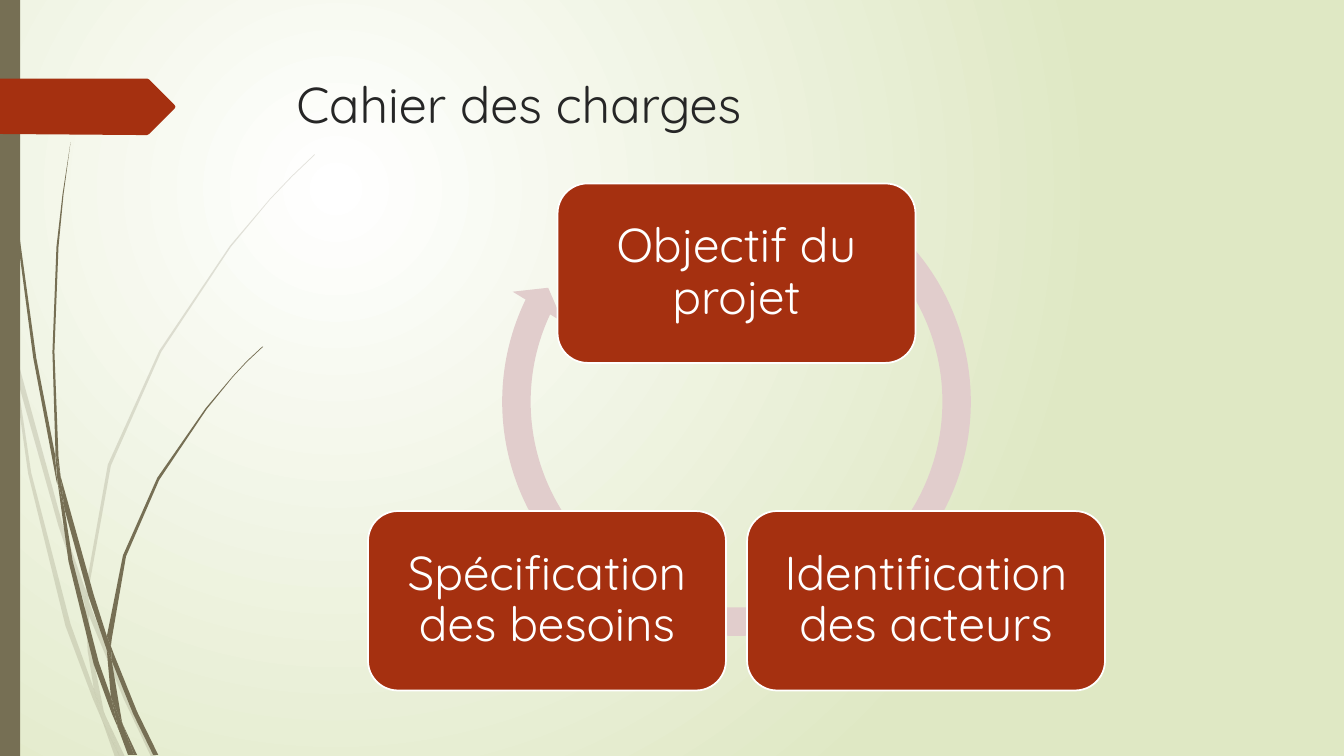
from lxml import etree
from pptx import Presentation
from pptx import util as u
from pptx.dml.color import RGBColor
from pptx.enum import shapes, text
from pptx.oxml import ns

CELL = u.Inches(0.01)
COLS, ROWS = 1333, 750
FONT = "Quicksand"
WHITE = RGBColor(0xFF, 0xFF, 0xFF)
LEAF = RGBColor(0xDF, 0xE8, 0xC4)
OLIVE = RGBColor(0x76, 0x6F, 0x54)
RUST = RGBColor(0xA5, 0x30, 0x10)
ROSE = RGBColor(0xE1, 0xCD, 0xCC)
INK = RGBColor(0x26, 0x26, 0x26)

PALE = [
    "11,350 9,322 0,282 0,299 10,344",
    "58,522 84,599 85,586 62,520 14,345 17,376",
    "92,607 88,596 88,610 123,694 150,751 155,751 127,692",
    "119,751 124,751 105,711",
    "93,683 70,619 31,469 17,376 11,350 28,470 65,621 92,693 101,714 99,707",
    "84,599 87,646 93,683 96,692 105,711 103,706 91,646 88,610 88,608",
    "88,584 110,462 160,349 229,245 268,198 290,175 312,154 312,153 289,175 "
    "268,197 228,244 158,348 107,461 85,584 85,586 88,596",
    "101,714 114,751 119,751",
    "88,608 88,610 88,596 85,586 84,599",
    "96,692 93,683 99,707 101,714 119,751 105,711",
]
DARK = [
    "7,110 17,233 33,355 56,477 57,481 55,457 55,453 36,355 19,232 8,109 5,48 "
    "4,0 3,0 4,48",
    "88,592 106,645 106,633 106,631 93,590 60,472 64,505",
    "113,649 110,641 111,656 132,708 152,749 157,749 136,706",
    "110,691 98,657 72,556 64,505 57,477 68,557 93,659 111,708 117,722 116,717",
    "60,472 58,453 54,349 58,245 63,193 70,141 62,193 56,245 52,349 55,449",
    "133,749 136,749 122,719",
    "57,477 64,505 60,472 55,449 55,453",
    "111,633 125,552 158,476 205,406 231,374 245,359 261,344 260,344 245,358 "
    "231,373 204,405 156,474 122,551 106,631 110,641",
    "117,722 127,749 131,749",
    "106,645 110,691 116,706 122,719 121,716 111,656 109,651",
    "106,645 109,651 111,656 110,641 106,631 106,633",
    "116,706 110,691 116,717 117,722 130,749 133,749 122,719",
]
FLAG = ("173,30 148,55 146,56 136,56 0,55 0,0 136,0 146,0 148,1 "
        "173,26 174,28")


def paint(item, tint, alpha=None):
    item.shadow.inherit = False
    item.fill.solid()
    item.fill.fore_color.rgb = tint
    item.line.fill.background()
    if alpha:
        tone = item.fill._xPr.find(".//" + ns.qn("a:srgbClr"))
        etree.SubElement(tone, ns.qn("a:alpha"), val=str(alpha * 1000))


def put(slide, kind, box, tint):
    item = slide.shapes.add_shape(kind, *(n * CELL for n in box))
    paint(item, tint)
    return item


def trace(slide, box, dots, tint, alpha=None):
    left, top = box[:2]
    pts = [tuple(map(int, dot.split(","))) for dot in dots.split()]
    pts = [(left + x, top + y) for x, y in pts]
    pen = slide.shapes.build_freeform(*pts[0], scale=CELL)
    pen.add_line_segments(pts[1:], close=True)
    paint(pen.convert_to_shape(), tint, alpha)


def write(para, words, size, tint):
    run = para.add_run()
    run.text = words
    run.font.name = FONT
    run.font.size = u.Pt(size)
    run.font.color.rgb = tint


def draw_back(slide):
    fill = slide.background.fill
    fill.gradient()
    for stop, tint in zip(fill.gradient_stops, (WHITE, LEAF)):
        stop.color.rgb = tint
    fill.gradient_stops[0].position = 0
    fill.gradient_stops[1].position = 1
    grad = slide.background._cSld.find(".//" + ns.qn("a:gradFill"))
    line = grad.find(ns.qn("a:lin"))
    ring = etree.Element(ns.qn("a:path"), {"path": "circle"})
    etree.SubElement(ring, ns.qn("a:fillToRect"),
                     l="50000", t="50000", r="100000", b="100000")
    grad.replace(line, ring)


def draw_side(slide, box):
    left, top, wide, high = box
    for blade in PALE:
        trace(slide, box, blade, OLIVE, 20)
    for blade in DARK:
        trace(slide, box, blade, OLIVE)
    put(slide, shapes.MSO_SHAPE.RECTANGLE, (left, top, 20, high), OLIVE)
    trace(slide, (left, top + 78), FLAG, RUST)


def draw_title(slide, box, words):
    frame = slide.shapes.add_textbox(*(n * CELL for n in box)).text_frame
    frame.word_wrap = True
    write(frame.paragraphs[0], words, 36, INK)


def draw_card(slide, box, words):
    card = put(slide, shapes.MSO_SHAPE.ROUNDED_RECTANGLE, box, RUST)
    card.line.color.rgb = WHITE
    card.line.width = u.Pt(1.25)
    frame = card.text_frame
    frame.word_wrap = True
    frame.vertical_anchor = text.MSO_ANCHOR.MIDDLE
    frame.margin_left = frame.margin_right = 14 * CELL
    frame.margin_top = frame.margin_bottom = 14 * CELL
    para = frame.paragraphs[0]
    para.alignment = text.PP_ALIGN.CENTER
    para.line_spacing = 0.9
    write(para, words, 34, WHITE)


def draw_cycle(slide, box, names):
    left, top, wide, high = box
    card_w, card_h, ring = 355, 178, 495
    mid, low = left + (wide - card_w) / 2, top + high - card_h
    arrow = put(slide, shapes.MSO_SHAPE.CIRCULAR_ARROW,
                (left + (wide - ring) / 2, top - 31, ring, ring), ROSE)
    for i, value in enumerate((0.057, 3.405, 123.299, 183.358, 0.059)):
        arrow.adjustments[i] = value
    spots = (mid, top), (left + wide - card_w, low), (left, low)
    for spot, name in zip(spots, names):
        draw_card(slide, (*spot, card_w, card_h), name)


def main():
    deck = Presentation()
    deck.slide_width, deck.slide_height = COLS * CELL, ROWS * CELL
    slide = deck.slides.add_slide(deck.slide_layouts[6])
    draw_back(slide)
    draw_side(slide, (0, 0, COLS, ROWS))
    draw_title(slide, (284, 68, 975, 140), "Cahier des charges")
    draw_cycle(slide, (365, 182, 731, 503),
               ("Objectif du projet", "Identification des acteurs",
                "Spécification des besoins"))
    deck.save("out.pptx")


if __name__ == "__main__":
    main()
